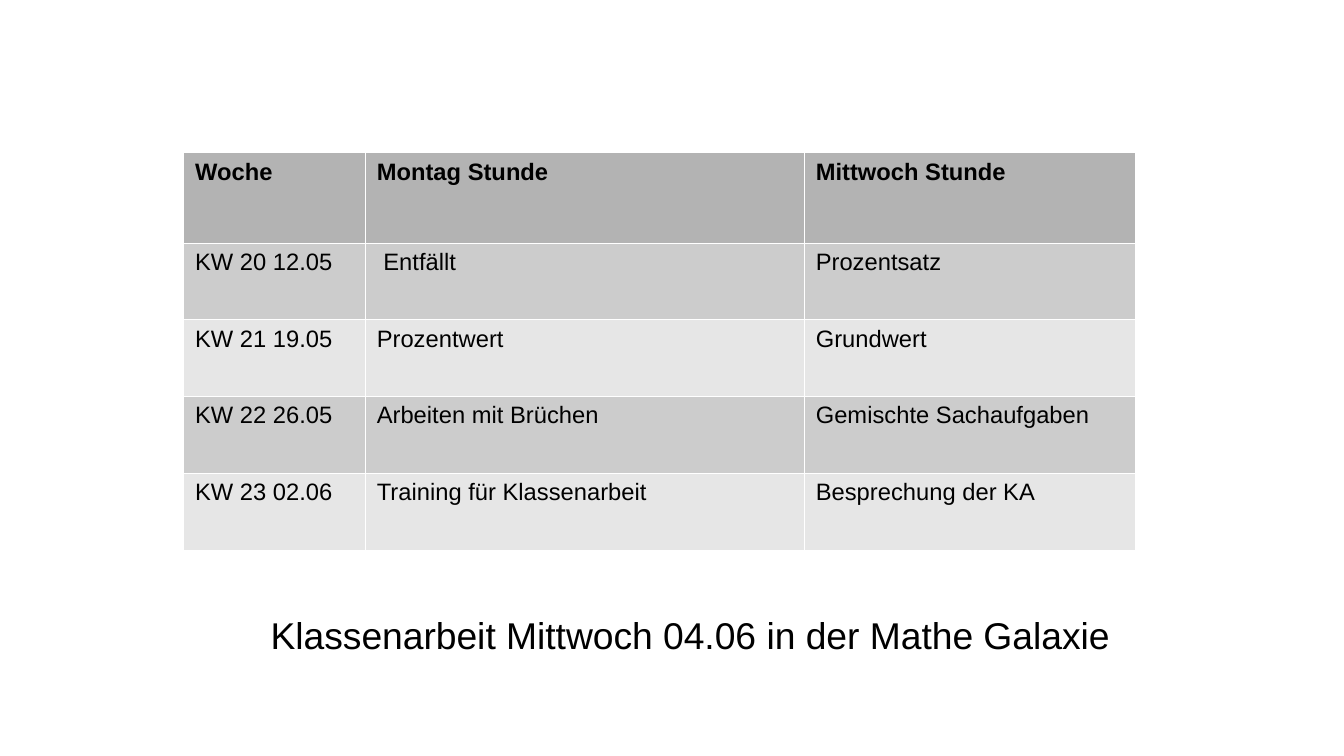
from lxml.etree import SubElement
from pptx import Presentation
from pptx.dml.color import RGBColor
from pptx.enum.text import MSO_AUTO_SIZE, PP_ALIGN
from pptx.oxml.ns import qn
from pptx.util import Inches, Pt

COLORS = {
    "text": "000000",
    "line": "FFFFFF",
    "head": "B3B3B3",
    "odd": "CCCCCC",
    "even": "E6E6E6",
}
WIDTHS = [1.49, 3.6, 2.72]
HEIGHTS = [0.74] + [0.63] * 4
PLAN = [
    ("Woche", "Montag Stunde", "Mittwoch Stunde"),
    ("KW 20 12.05", " Entfällt", "Prozentsatz"),
    ("KW 21 19.05", "Prozentwert", "Grundwert"),
    ("KW 22 26.05", "Arbeiten mit Brüchen", "Gemischte Sachaufgaben"),
    ("KW 23 02.06", "Training für Klassenarbeit", "Besprechung der KA"),
]


def color(name):
    return RGBColor.from_string(COLORS[name])


def add_run(para, text, size, bold=False):
    run = para.add_run()
    run.text = text
    run.font.name = "Arial"
    run.font.size = Pt(size)
    run.font.bold = bold
    run.font.color.rgb = color("text")


def add_edges(cell):
    props = cell._tc.get_or_add_tcPr()
    for side in ("lnL", "lnR", "lnT", "lnB"):
        edge = SubElement(props, qn(f"a:{side}"), w=str(Pt(0.06)))
        fill = SubElement(edge, qn("a:solidFill"))
        SubElement(fill, qn("a:srgbClr"), val=COLORS["line"])


def add_plan(slide, left, top, width, height):
    frame = slide.shapes.add_table(
        len(PLAN), len(WIDTHS),
        Inches(left), Inches(top), Inches(width), Inches(height))
    table = frame.table
    for col, share in zip(table.columns, WIDTHS):
        col.width = Inches(width * share / sum(WIDTHS))
    for row, share in zip(table.rows, HEIGHTS):
        row.height = Inches(height * share / sum(HEIGHTS))
    for i, texts in enumerate(PLAN):
        shade = "head" if i == 0 else "odd" if i % 2 else "even"
        for j, text in enumerate(texts):
            cell = table.cell(i, j)
            add_edges(cell)
            cell.fill.solid()
            cell.fill.fore_color.rgb = color(shade)
            add_run(cell.text_frame.paragraphs[0], text, 14, i == 0)


def add_note(slide, left, top, width, height):
    box = slide.shapes.add_textbox(
        Inches(left), Inches(top), Inches(width), Inches(height))
    frame = box.text_frame
    frame.word_wrap = True
    frame.auto_size = MSO_AUTO_SIZE.SHAPE_TO_FIT_TEXT
    para = frame.paragraphs[0]
    para.alignment = PP_ALIGN.CENTER
    add_run(para, "Klassenarbeit Mittwoch 04.06 in der Mathe Galaxie", 22)


def main():
    deck = Presentation()
    deck.slide_width = Inches(11.02)
    deck.slide_height = Inches(6.2)
    slide = deck.slides.add_slide(deck.slide_layouts[6])
    add_plan(slide, 1.5, 1.25, 7.81, 3.26)
    add_note(slide, 0.72, 4.97, 9.88, 0.44)
    deck.save("out.pptx")


if __name__ == "__main__":
    main()
